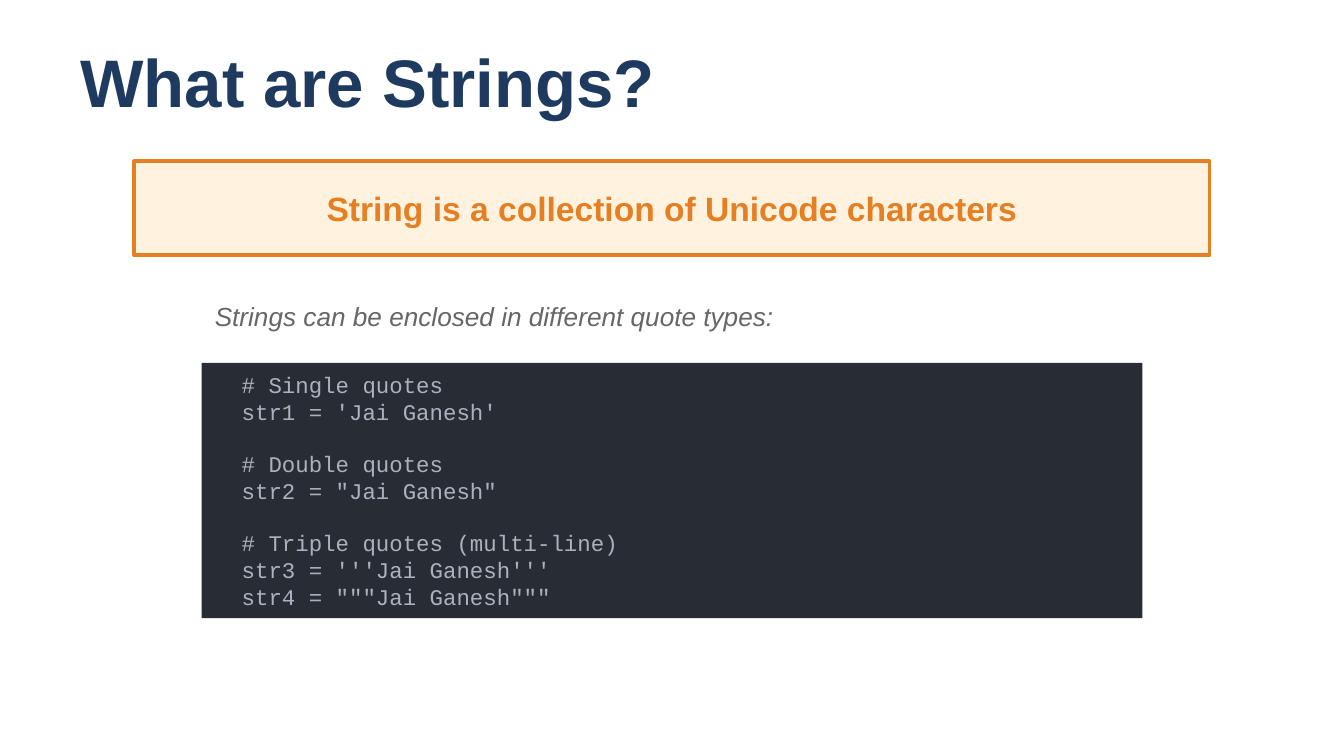
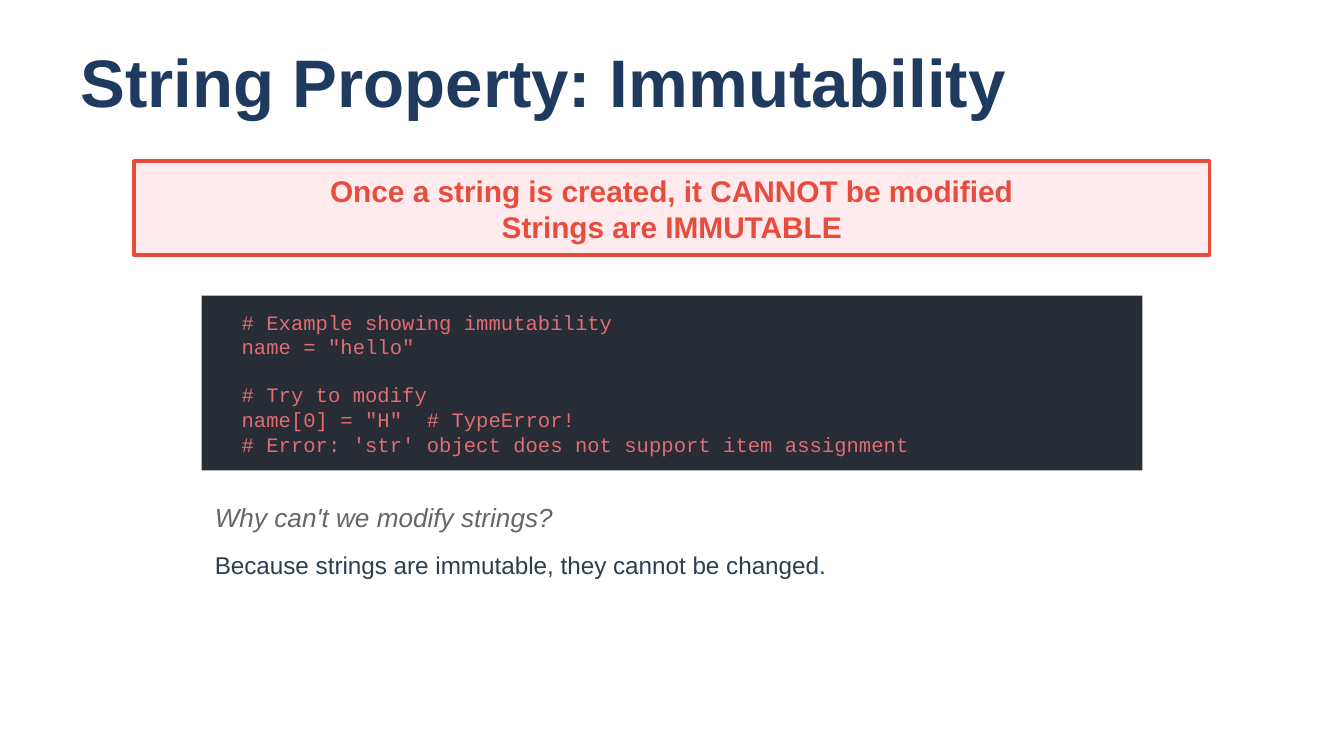
from pptx import Presentation
from pptx.dml.color import RGBColor
from pptx.enum.shapes import MSO_SHAPE as Shape
from pptx.enum.text import MSO_ANCHOR as Anchor, PP_ALIGN as Align
from pptx.util import Inches, Pt

# Colours and fonts
WHITE = RGBColor(0xFF, 0xFF, 0xFF)
NAVY = RGBColor(0x1E, 0x3A, 0x5F)
SLATE = RGBColor(0x2C, 0x3E, 0x50)
GRAY = RGBColor(0x66, 0x66, 0x66)
ORANGE = RGBColor(0xE6, 0x7E, 0x22)
CREAM = RGBColor(0xFF, 0xF3, 0xE0)
RED = RGBColor(0xE7, 0x4C, 0x3C)
PINK = RGBColor(0xFF, 0xEB, 0xEE)
CODE_BACK = RGBColor(0x28, 0x2C, 0x34)
CODE_GRAY = RGBColor(0xAB, 0xB2, 0xBF)
CODE_RED = RGBColor(0xE0, 0x6C, 0x75)
SANS, MONO = "Arial", "Courier New"
MONO_LINE = 1.13  # line height of the code font, in ems

# Grid: 100 columns across the slide, rows of the same size
presentation = Presentation()
presentation.slide_width = Inches(10)
presentation.slide_height = presentation.slide_width * 9 // 16
CELL = presentation.slide_width // 100
CALLOUT = (10, 12, 80, 7)
BODY_LEFT, BODY_WIDTH = 15, 70


def add_panel(slide, area, fill, line=None):
    panel = slide.shapes.add_shape(Shape.RECTANGLE, *(int(n * CELL) for n in area))
    panel.shadow.inherit = False
    panel.fill.solid()
    panel.fill.fore_color.rgb = fill
    if line is None:
        panel.line.fill.background()
    else:
        panel.line.color.rgb = line
        panel.line.width = Pt(2)


def add_text(slide, area, blocks, size, color, font=SANS, bold=False,
             italic=False, align=Align.LEFT):
    """Write blocks of lines, with one line of space between the blocks."""
    box = slide.shapes.add_textbox(*(int(n * CELL) for n in area))
    frame = box.text_frame
    frame.word_wrap = True
    frame.vertical_anchor = Anchor.MIDDLE
    paragraph = frame.paragraphs[0]
    for block_index, block in enumerate(blocks):
        for line_index, line in enumerate(block):
            if block_index or line_index:
                paragraph = frame.add_paragraph()
            if block_index and not line_index:
                paragraph.space_before = Pt(size * MONO_LINE)
            paragraph.alignment = align
            run = paragraph.add_run()
            run.text = line
            run.font.name = font
            run.font.size = Pt(size)
            run.font.bold = bold
            run.font.italic = italic
            run.font.color.rgb = color


# Content; tops and heights are in grid rows
pages = [
    {
        "title": "What are Strings?",
        "callout": ["String is a collection of Unicode characters"],
        "callout_style": (18, ORANGE, CREAM),
        "code": [
            ["# Single quotes", "str1 = 'Jai Ganesh'"],
            ["# Double quotes", 'str2 = "Jai Ganesh"'],
            ["# Triple quotes (multi-line)", "str3 = '''Jai Ganesh'''",
             'str4 = """Jai Ganesh"""'],
        ],
        "code_style": (12, CODE_GRAY),
        "code_rows": (27, 19, 16),
        "notes": [
            (22, "Strings can be enclosed in different quote types:", 14, GRAY, True),
        ],
    },
    {
        "title": "String Property: Immutability",
        "callout": ["Once a string is created, it CANNOT be modified",
                    "Strings are IMMUTABLE"],
        "callout_style": (16, RED, PINK),
        "code": [
            ["# Example showing immutability", 'name = "hello"'],
            ["# Try to modify", 'name[0] = "H"  # TypeError!',
             "# Error: 'str' object does not support item assignment"],
        ],
        "code_style": (11, CODE_RED),
        "code_rows": (22, 13, 10),
        "notes": [
            (37, "Why can't we modify strings?", 14, GRAY, True),
            (40.5, "Because strings are immutable, they cannot be changed.",
             13, SLATE, False),
        ],
    },
]

for page in pages:
    slide = presentation.slides.add_slide(presentation.slide_layouts[6])
    slide.background.fill.solid()
    slide.background.fill.fore_color.rgb = WHITE

    # Title
    add_text(slide, (5, 3, 90, 6), [[page["title"]]], 36, NAVY, bold=True)

    # Callout, its text one row inside the frame
    size, accent, tint = page["callout_style"]
    left, top, width, height = CALLOUT
    add_panel(slide, CALLOUT, tint, accent)
    add_text(slide, (left, top + 1, width, height - 2), [page["callout"]],
             size, accent, bold=True, align=Align.CENTER)

    # Code panel
    size, color = page["code_style"]
    top, height, text_height = page["code_rows"]
    add_panel(slide, (BODY_LEFT, top, BODY_WIDTH, height), CODE_BACK)
    add_text(slide, (BODY_LEFT + 2, top + 1.5, BODY_WIDTH - 4, text_height),
             page["code"], size, color, font=MONO)

    # Notes around the code
    for top, note, size, color, italic in page["notes"]:
        add_text(slide, (BODY_LEFT, top, BODY_WIDTH, 3), [[note]], size, color,
                 italic=italic)

presentation.save("out.pptx")
